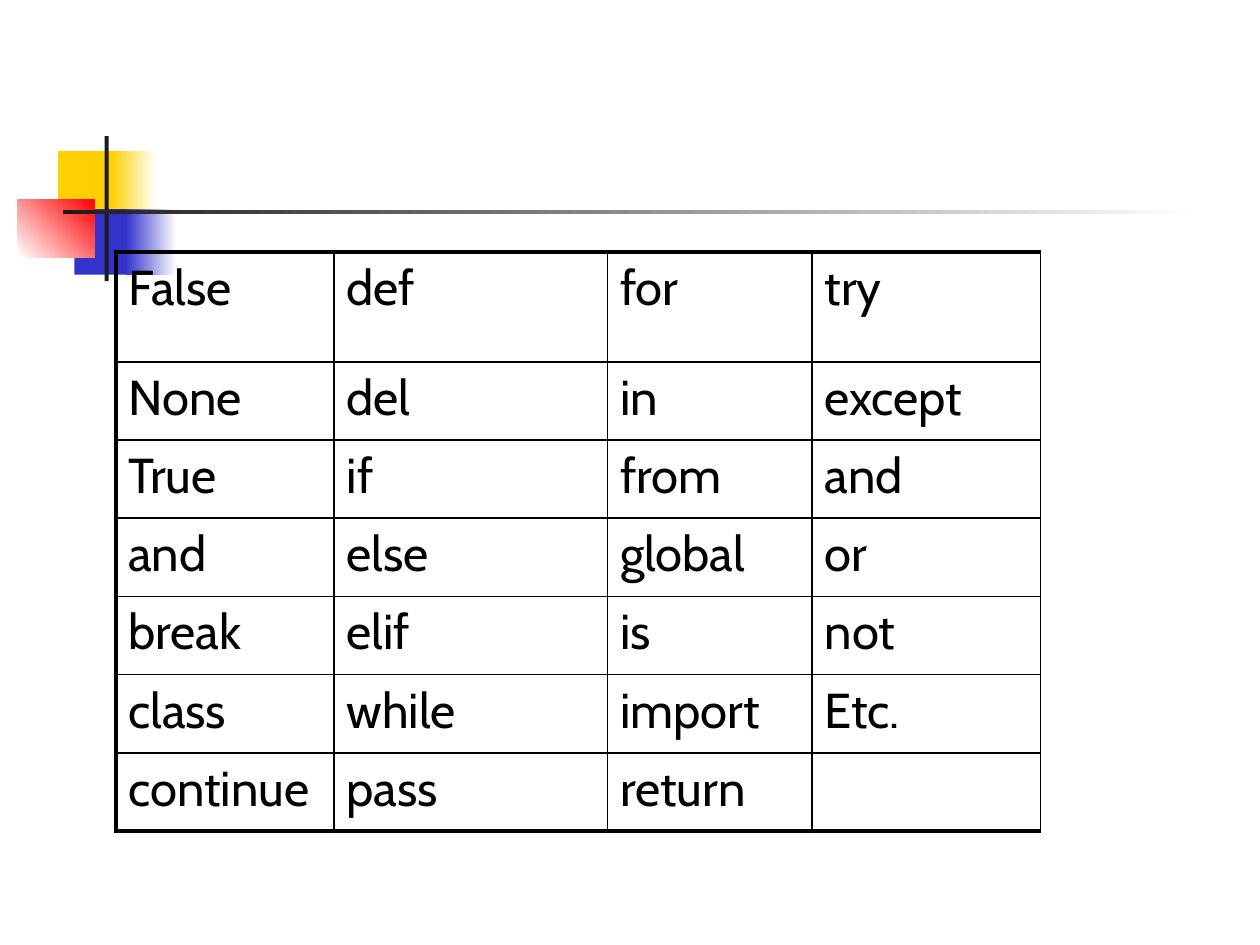
import pptx
import pptx.util
import pptx.dml.color
import pptx.enum.shapes
import pptx.oxml

Pt = pptx.util.Pt
RGB = pptx.dml.color.RGBColor.from_string
COLORS = {
    "yellow": "FFCF01",
    "blue": "3333CC",
    "red": "FF0000",
    "dark": "1C1C1C",
    "white": "FFFFFF",
    "black": "000000",
}
NS = "http://schemas.openxmlformats.org/drawingml/2006/main"

deck = pptx.Presentation()
deck.slide_width, deck.slide_height = Pt(720), Pt(540)
slide = deck.slides.add_slide(deck.slide_layouts[6])

ornaments = [
    (33.1, 86.4, 34.6, 37.4, ["yellow"], 0),
    (63.4, 86.4, 25.9, 37.4, ["yellow", "white"], 0),
    (42.5, 119.5, 33.1, 37.4, ["blue"], 0),
    (72, 119.5, 28.8, 37.4, ["blue", "white"], 0),
    (10.1, 113.8, 43.9, 33.1, ["white", "red"], 45),
    (59.8, 77.8, 2.3, 82.8, ["dark"], 0),
    (36, 120.1, 648, 2.3, ["dark", "white"], 0),
]
for left, top, width, height, tones, angle in ornaments:
    ornament = slide.shapes.add_shape(
        pptx.enum.shapes.MSO_SHAPE.RECTANGLE, Pt(left), Pt(top), Pt(width), Pt(height))
    ornament.shadow.inherit = False
    ornament.line.fill.background()
    if len(tones) == 1:
        ornament.fill.solid()
        ornament.fill.fore_color.rgb = RGB(COLORS[tones[0]])
        continue
    ornament.fill.gradient()
    ornament.fill.gradient_angle = angle
    for position, (stop, tone) in enumerate(zip(ornament.fill.gradient_stops, tones)):
        stop.position = position
        stop.color.rgb = RGB(COLORS[tone])

keywords = [
    ["False", "def", "for", "try"],
    ["None", "del", "in", "except"],
    ["True", "if", "from", "and"],
    ["and", "else", "global", "or"],
    ["break", "elif", "is", "not"],
    ["class", "while", "import", "Etc."],
    ["continue", "pass", "return", ""],
]
column_widths = [124.7, 156.3, 116.9, 130.6]
row_heights = [62.8] + [44.7] * 6
font_format = {"size": Pt(28), "name": "Cabin", "bold": False}

keyword_table = slide.shapes.add_table(
    len(row_heights), len(column_widths), Pt(66.2), Pt(144),
    Pt(sum(column_widths)), Pt(sum(row_heights))).table
for flag in ("first_row", "horz_banding"):
    setattr(keyword_table, flag, False)
for column, width in zip(keyword_table.columns, column_widths):
    column.width = Pt(width)
for row, height in zip(keyword_table.rows, row_heights):
    row.height = Pt(height)

for r, words in enumerate(keywords):
    for c, word in enumerate(words):
        cell = keyword_table.cell(r, c)
        edges = {"lnL": c == 0, "lnR": False, "lnT": r == 0, "lnB": r == len(keywords) - 1}
        for edge, heavy in edges.items():
            cell_format = cell._tc.get_or_add_tcPr()
            cell_format.append(pptx.oxml.parse_xml(
                f'<a:{edge} xmlns:a="{NS}" w="{Pt(2.25 if heavy else 1)}"><a:solidFill>'
                f'<a:srgbClr val="{COLORS["black"]}"/></a:solidFill></a:{edge}>'))
        cell.fill.background()
        if not word:
            continue
        paragraph = cell.text_frame.paragraphs[0]
        paragraph.space_before = Pt(5.6)
        keyword = paragraph.add_run()
        keyword.text = word
        for attribute, value in font_format.items():
            setattr(keyword.font, attribute, value)
        keyword.font.color.rgb = RGB(COLORS["black"])

deck.save("out.pptx")
